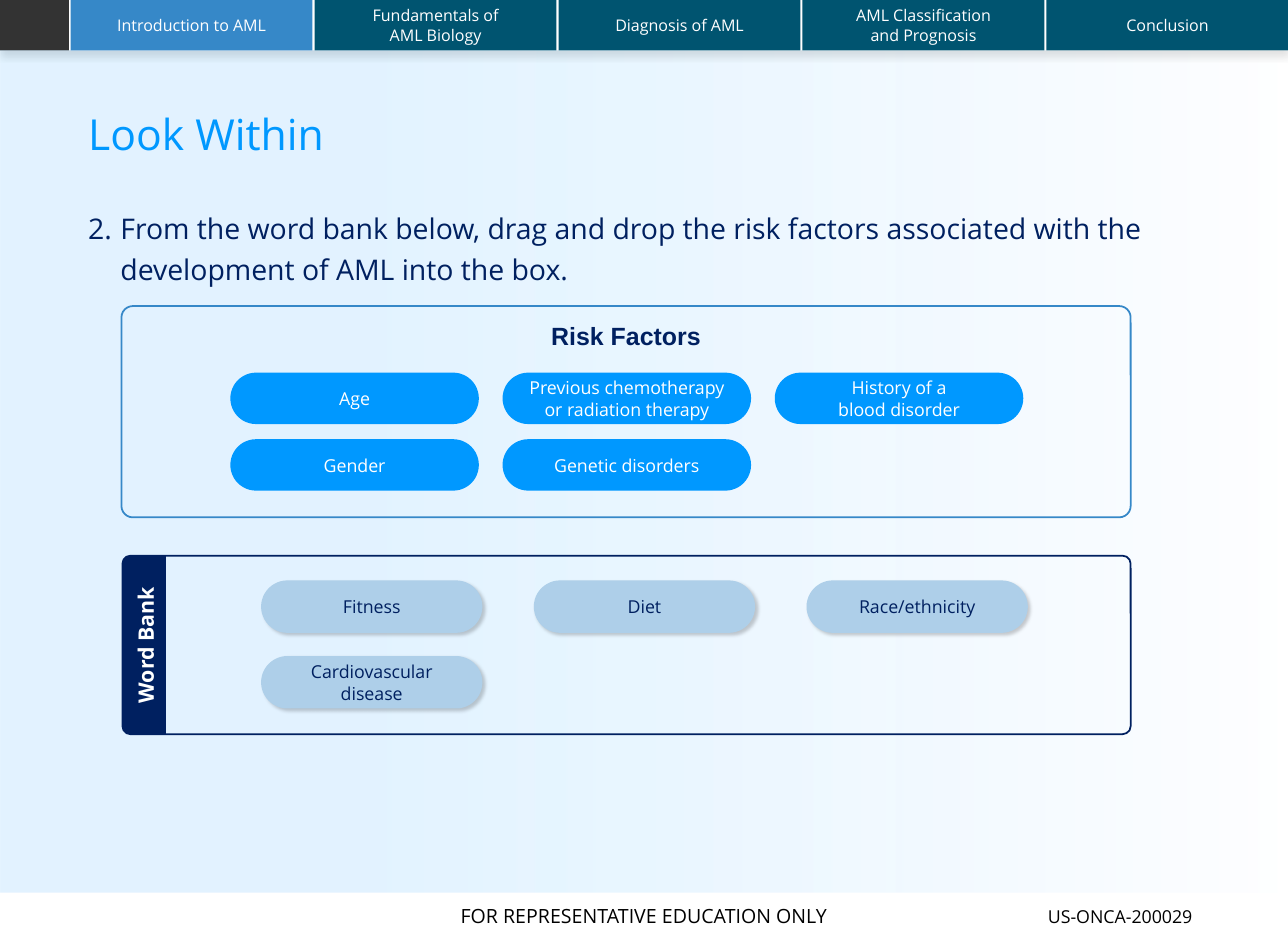
import lxml.etree
import pptx
import pptx.dml.color
import pptx.enum.shapes
import pptx.enum.text
import pptx.oxml.ns
import pptx.util

Cm = pptx.util.Cm
Pt = pptx.util.Pt
SHAPE = pptx.enum.shapes.MSO_SHAPE
ALIGN = pptx.enum.text.PP_ALIGN
ANCHOR = pptx.enum.text.MSO_ANCHOR
qn = pptx.oxml.ns.qn

SKY, NAVY, TEAL, BLUE, PALE = "0098FF", "002060", "005470", "3688C8", "AECFE9"
WHITE, BLACK = "FFFFFF", "000000"
WIDTH, HEIGHT = 25.55, 18.62

deck = pptx.Presentation()
deck.slide_width, deck.slide_height = Cm(WIDTH), Cm(HEIGHT)
page = deck.slides.add_slide(deck.slide_layouts[6])


def rgb(code):
    return pptx.dml.color.RGBColor.from_string(code)


def add_box(kind, left, top, width, height, fill=None, line=None, corners=(),
            text="", size=10, color=WHITE, font="Open Sans", bold=False,
            align=ALIGN.CENTER, anchor=ANCHOR.MIDDLE, inset=0):
    """Add a preset shape, or a text box when kind is None."""
    place = Cm(left), Cm(top), Cm(width), Cm(height)
    if kind is None:
        box = page.shapes.add_textbox(*place)
    else:
        box = page.shapes.add_shape(kind, *place)
        box.shadow.inherit = False
        for index, corner in enumerate(corners):
            box.adjustments[index] = corner
        if fill:
            box.fill.solid()
            box.fill.fore_color.rgb = rgb(fill)
        else:
            box.fill.background()
        if line:
            box.line.color.rgb = rgb(line)
            box.line.width = Pt(1)
        else:
            box.line.fill.background()
    if text:
        frame = box.text_frame
        frame.word_wrap = True
        frame.vertical_anchor = anchor
        frame.margin_left = frame.margin_right = Cm(inset)
        frame.margin_top = frame.margin_bottom = Cm(inset)
        para = frame.paragraphs[0]
        para.alignment = align
        for index, part in enumerate(text.split("\n")):
            if index:
                para.add_line_break()
            para.add_run().text = part
        para.font.name, para.font.size, para.font.bold = font, Pt(size), bold
        para.font.color.rgb = rgb(color)
    return box


# Navigation bar
bar = add_box(SHAPE.RECTANGLE, 0, 0, WIDTH, 1, fill=WHITE)
shadows = [(bar, 13, 4, 3, 90)]
add_box(SHAPE.RECTANGLE, 0, 0, 1.37, 1, fill="333333")
sections = ["Introduction to AML", "Fundamentals of\nAML Biology", "Diagnosis of AML",
            "AML Classification\nand Prognosis", "Conclusion"]
for column, section in enumerate(sections):
    add_box(SHAPE.RECTANGLE, 1.4 + 4.84 * column, 0, 4.8, 1,
            fill=TEAL if column else BLUE, text=section, size=9)

# Translucent gradient background
backdrop = add_box(SHAPE.RECTANGLE, 0, 1, WIDTH, HEIGHT - 1)
backdrop.fill.gradient()
backdrop.fill.gradient_angle = 0
stops = backdrop.element.spPr.find(".//" + qn("a:gsLst"))
for stop in list(stops):
    stops.remove(stop)
for position, code, opacity in [(29, SKY, 11), (100, WHITE, 12), (100, WHITE, 39)]:
    stop = lxml.etree.SubElement(stops, qn("a:gs"), pos=str(position * 1000))
    tint = lxml.etree.SubElement(stop, qn("a:srgbClr"), val=code)
    lxml.etree.SubElement(tint, qn("a:alpha"), val=str(opacity * 1000))

# Title and footer
title = add_box(None, 1.75, 2.26, 22.05, 0.91, text="Look Within", size=24, color=SKY,
                align=ALIGN.LEFT, anchor=ANCHOR.TOP)
title.text_frame.paragraphs[0].line_spacing = 0.9
add_box(SHAPE.RECTANGLE, 0, 17.7, WIDTH, 0.92, fill=WHITE,
        text="FOR REPRESENTATIVE EDUCATION ONLY", size=11, color=BLACK)
add_box(None, 20.52, 17.96, 3.4, 0.43, text="US-ONCA-200029", color=BLACK,
        anchor=ANCHOR.TOP)

# Numbered question
question = add_box(None, 1.75, 4.06, 22.02, 2.97, size=16, color=NAVY,
                   text="From the word bank below, drag and drop the risk factors "
                        "associated with the\ndevelopment of AML into the box.",
                   align=ALIGN.LEFT, anchor=ANCHOR.TOP)
para = question.text_frame.paragraphs[0]
para.line_spacing = 1.2
settings = para._p.get_or_add_pPr()
settings.set("marL", str(Cm(0.64)))
settings.set("indent", str(-Cm(0.64)))
number = lxml.etree.Element(qn("a:buAutoNum"), type="arabicPeriod", startAt="2")
settings.find(qn("a:defRPr")).addprevious(number)

# Risk factors answer box
add_box(SHAPE.ROUNDED_RECTANGLE, 2.41, 6.07, 20.02, 4.19, line=BLUE, corners=[0.054])
add_box(None, 8.66, 6.22, 7.52, 0.86, text="Risk Factors", size=14, color=NAVY,
        font="Arial", bold=True, anchor=ANCHOR.TOP, inset=0.13)
factors = ["Age", "Previous chemotherapy or radiation therapy",
           "History of a\nblood disorder", "Gender", "Genetic disorders"]
for index, factor in enumerate(factors):
    row, column = divmod(index, 3)
    add_box(SHAPE.ROUND_2_SAME_RECTANGLE, 4.57 + 5.4 * column, 7.39 + 1.32 * row,
            4.93, 1.02, fill=SKY, corners=[0.5, 0.5], text=factor, inset=0.25)

# Word bank
add_box(SHAPE.ROUNDED_RECTANGLE, 2.43, 11.02, 20, 3.54, line=NAVY, corners=[0.045])
label = add_box(SHAPE.ROUND_2_SAME_RECTANGLE, 1.09, 12.36, 3.54, 0.86, fill=NAVY,
                corners=[0.2, 0], text="Word Bank", size=12, bold=True)
label.rotation = 270
words = ["Fitness", "Diet", "Race/ethnicity", "Cardiovascular disease"]
for index, word in enumerate(words):
    row, column = divmod(index, 3)
    pill = add_box(SHAPE.ROUNDED_RECTANGLE, 5.18 + 5.41 * column, 11.51 + 1.5 * row,
                   4.39, 1.04, fill=PALE, corners=[0.5], text=word, color=NAVY, inset=0.25)
    shadows.append((pill, 20, 2, 2, 45))

# Soft shadows
for box, opacity, blur, distance, angle in shadows:
    effects = box.element.spPr.find(qn("a:effectLst"))
    shade = lxml.etree.SubElement(effects, qn("a:outerShdw"), blurRad=str(Pt(blur)),
                                  dist=str(Pt(distance)), dir=str(angle * 60000))
    tint = lxml.etree.SubElement(shade, qn("a:srgbClr"), val=BLACK)
    lxml.etree.SubElement(tint, qn("a:alpha"), val=str(opacity * 1000))

deck.save("out.pptx")
